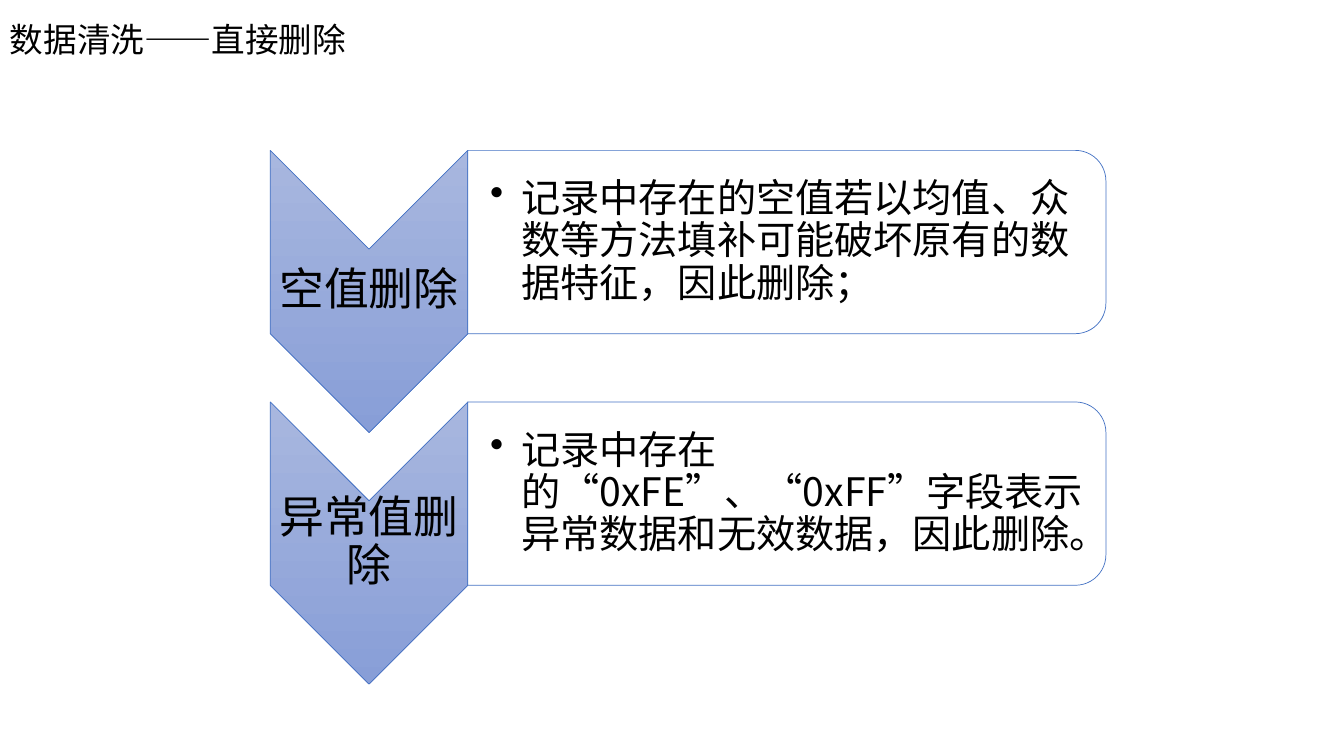
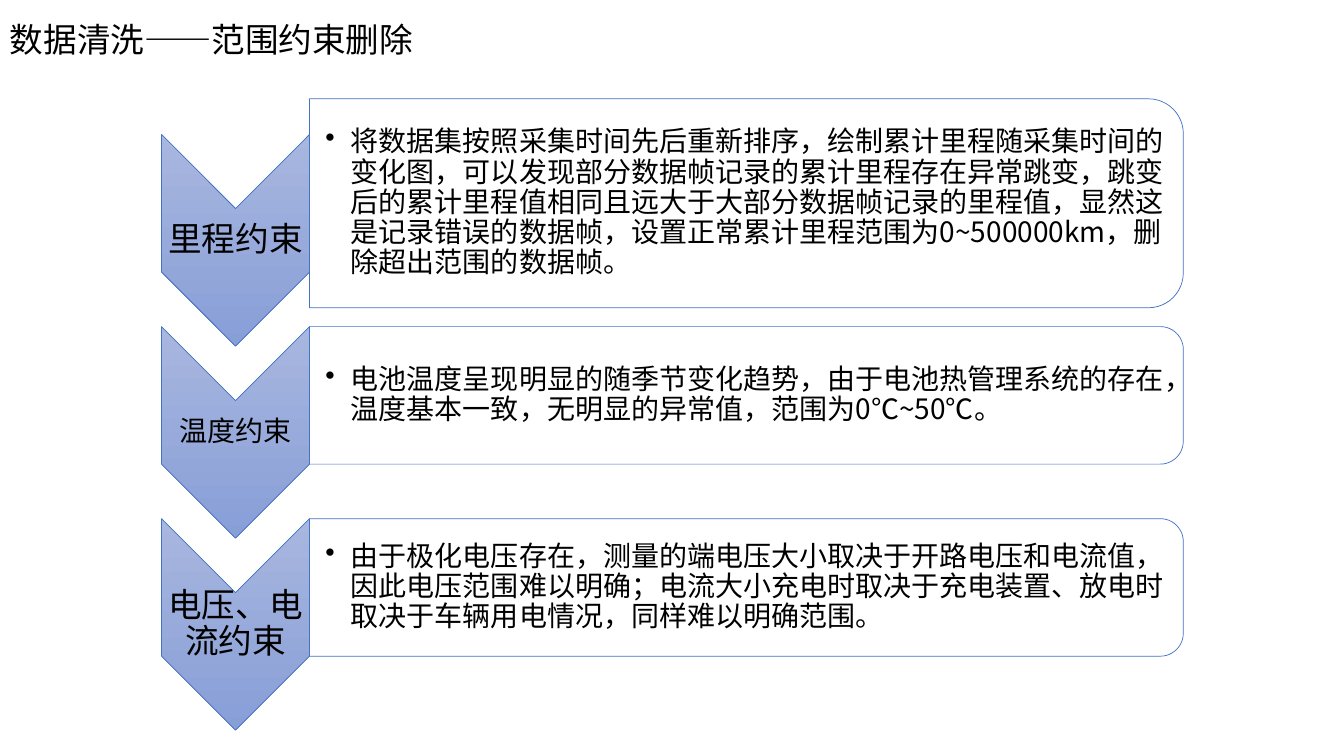
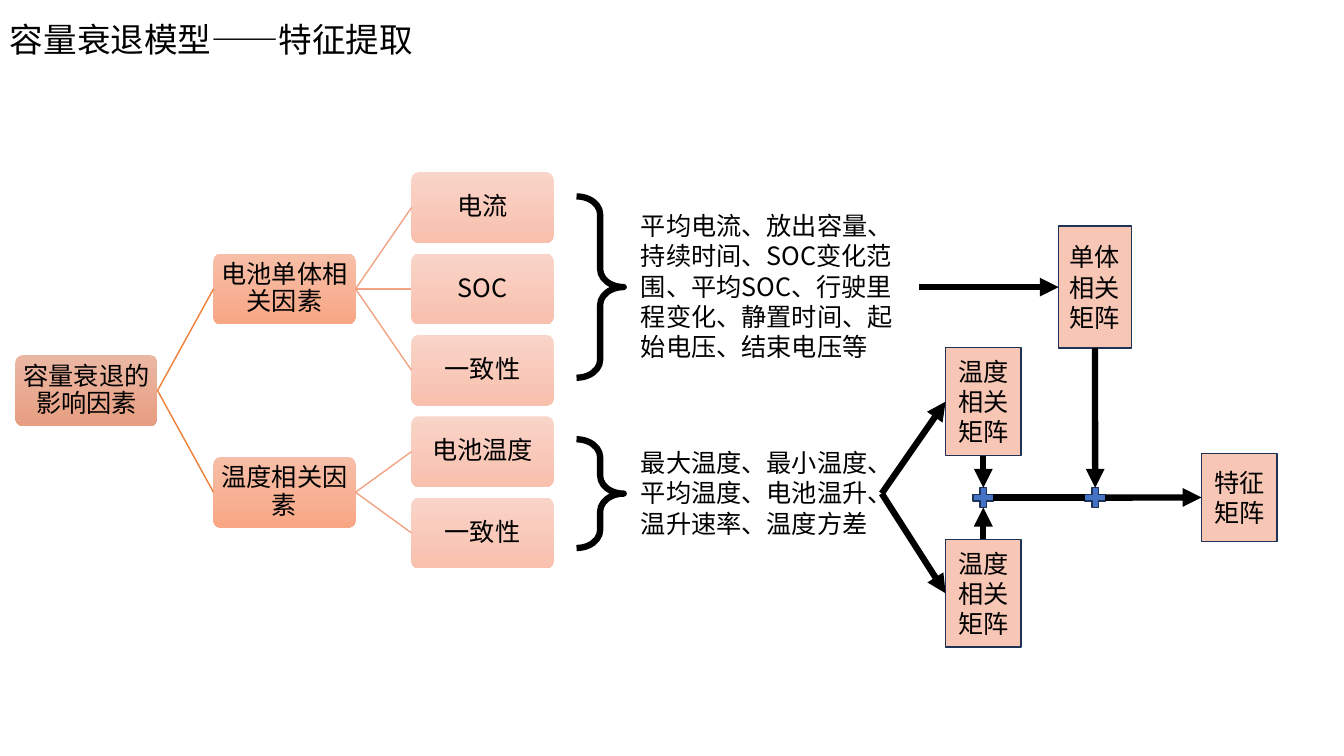
from lxml import etree
from pptx import Presentation
from pptx.dml.color import RGBColor
from pptx.enum import shapes, text
from pptx.oxml.ns import qn
from pptx.util import Cm, Pt

FONT = "Noto Sans CJK SC"
BLACK = RGBColor(0x00, 0x00, 0x00)
WHITE = RGBColor(0xFF, 0xFF, 0xFF)
BLUE = RGBColor(0x44, 0x72, 0xC4)
NAVY = RGBColor(0x1E, 0x32, 0x56)
PEACH = RGBColor(0xF8, 0xC6, 0xB5)
CHEVRON_FADE = RGBColor(0xA8, 0xB7, 0xDF), RGBColor(0x88, 0x9E, 0xD7)
LEVEL_FADES = [
    (RGBColor(0xEA, 0xB7, 0xA3), RGBColor(0xE7, 0x9E, 0x81)),
    (RGBColor(0xF7, 0xBE, 0xA7), RGBColor(0xF8, 0xA7, 0x85)),
    (RGBColor(0xF9, 0xD4, 0xC8), RGBColor(0xF8, 0xC0, 0xAD)),
]
BRANCH_COLOURS = [RGBColor(0xED, 0x7F, 0x39), RGBColor(0xF1, 0xA3, 0x83)]

SHAPE = shapes.MSO_SHAPE
CENTER, LEFT = text.PP_ALIGN.CENTER, text.PP_ALIGN.LEFT
MIDDLE, TOP = text.MSO_ANCHOR.MIDDLE, text.MSO_ANCHOR.TOP
TOP_SIDE, LEFT_SIDE, BOTTOM_SIDE, RIGHT_SIDE = range(4)

# Lengths in cm; a step is label, label size, body text, extra body height
STEP_SLIDES = [
    {
        "title": "数据清洗——直接删除",
        "left": 6.81, "top": 3.79, "pitch": 6.34,
        "chevron": (4.98, 7.11), "body_width": 16.08,
        "body_size": 28, "body_margin": 0.56, "indent": 0.79,
        "steps": [
            ("空值删除", 32, "记录中存在的空值若以均值、众数等方法填补可能破坏原有的数据特征，因此删除；", 0),
            ("异常值删除", 32, "记录中存在的“0xFE”、“0xFF”字段表示异常数据和无效数据，因此删除。", 0),
        ],
    },
    {
        "title": "数据清洗——范围约束删除",
        "left": 4.07, "top": 3.39, "pitch": 4.84,
        "chevron": (3.73, 5.33), "body_width": 22.02,
        "body_size": 20, "body_margin": 0.4, "indent": 0.64,
        "steps": [
            ("里程约束", 24, "将数据集按照采集时间先后重新排序，绘制累计里程随采集时间的变化图，"
             "可以发现部分数据帧记录的累计里程存在异常跳变，跳变后的累计里程值相同且远大于"
             "大部分数据帧记录的里程值，显然这是记录错误的数据帧，设置正常累计里程范围为"
             "0~500000km，删除超出范围的数据帧。", 1.8),
            ("温度约束", 20, "电池温度呈现明显的随季节变化趋势，由于电池热管理系统的存在，"
             "温度基本一致，无明显的异常值，范围为0℃~50℃。", 0),
            ("电压、电流约束", 24, "由于极化电压存在，测量的端电压大小取决于开路电压和电流值，"
             "因此电压范围难以明确；电流大小充电时取决于充电装置、放电时取决于车辆用电情况，"
             "同样难以明确范围。", 0),
        ],
    },
]
FEATURE_TITLE = "容量衰退模型——特征提取"
FACTOR_ROOT = "容量衰退的影响因素"
FACTORS = [
    ("电池单体相关因素", ["电流", "SOC", "一致性"]),
    ("温度相关因素", ["电池温度", "一致性"]),
]
BRACES = [(14.53, 4.95, 1.19, 4.57), (14.53, 11.07, 1.19, 2.74)]
FEATURES = [
    ("平均电流、放出容量、持续时间、SOC变化范围、平均SOC、行驶里程变化、静置时间、起始电压、结束电压等",
     (15.9, 5.18, 7.26, 4.11)),
    ("最大温度、最小温度、平均温度、电池温升、温升速率、温度方差", (15.9, 11.15, 6.32, 2.57)),
]
MATRICES = [
    ("单体相关矩阵", (26.68, 5.7, 1.83, 3.07)),
    ("温度相关矩阵", (23.83, 8.76, 1.9, 2.72)),
    ("温度相关矩阵", (23.83, 13.59, 1.9, 2.72)),
    ("特征矩阵", (30.28, 11.43, 1.9, 2.21)),
]
NODE_WIDTH, NODE_HEIGHT = 3.58, 1.78
TREE_LEFT, TREE_TOP, COLUMN_PITCH, LEAF_PITCH = 0.39, 4.34, 4.99, 2.05
PLUS_Y, PLUS_XS, PLUS_SIZE, PLUS_ARM = 12.54, (24.78, 27.6), (0.71, 0.69), 0.25


def cm(values):
    return [Cm(value) for value in values]


def write(shape, content, size, align=LEFT, anchor=TOP, margins=None, spacing=None, indent=None):
    """Fill a shape with one paragraph; margins are left and the other three, in cm."""
    frame = shape.text_frame
    frame.word_wrap = True
    frame.vertical_anchor = anchor
    if margins:
        frame.margin_left = Cm(margins[0])
        frame.margin_top = frame.margin_right = frame.margin_bottom = Cm(margins[1])
    para = frame.paragraphs[0]
    para.text = content
    para.alignment = align
    if indent:
        props = para._p.get_or_add_pPr()
        props.set("marL", str(Cm(indent)))
        props.set("indent", str(-Cm(indent)))
        etree.SubElement(props, qn("a:buChar"), char="•")
    if spacing:
        para.line_spacing = spacing
    font = para.font
    font.name, font.size = FONT, Pt(size)
    font.color.rgb = BLACK
    etree.SubElement(font._element, qn("a:ea"), typeface=FONT)


def add_text(page, bounds, content, size, **style):
    box = page.shapes.add_textbox(*cm(bounds))
    write(box, content, size, **style)
    return box


def add_shape(page, kind, bounds, fill=None, line=None, width=1.0, angle=270):
    """Draw a preset shape; a pair of colours as fill makes a gradient."""
    shape = page.shapes.add_shape(kind, *cm(bounds))
    shape.shadow.inherit = False
    if isinstance(fill, RGBColor):
        shape.fill.solid()
        shape.fill.fore_color.rgb = fill
    elif fill:
        shape.fill.gradient()
        shape.fill.gradient_angle = angle
        for stop, colour in zip(shape.fill.gradient_stops, fill):
            stop.color.rgb = colour
    else:
        shape.fill.background()
    if line is None:
        shape.line.fill.background()
    else:
        shape.line.color.rgb = line
        shape.line.width = Pt(width)
    return shape


def add_turned(page, kind, bounds, fill):
    """Draw a shape turned by 90 degrees so that it covers the bounds."""
    left, top, width, height = bounds
    shift = (width - height) / 2
    turned = (left + shift, top - shift, height, width)
    add_shape(page, kind, turned, fill, BLUE, 0.5, angle=0).rotation = 90


def add_link(page, start, end, colour=BLACK, width=4.5, arrow=True):
    """Join two ends, each a (shape, side) pair or an (x, y) point in cm."""
    joined = [not isinstance(point[0], (int, float)) for point in (start, end)]
    points = [(0, 0) if join else cm(point) for join, point in zip(joined, (start, end))]
    link = page.shapes.add_connector(shapes.MSO_CONNECTOR.STRAIGHT, *points[0], *points[1])
    if joined[0]:
        link.begin_connect(*start)
    if joined[1]:
        link.end_connect(*end)
    link.line.color.rgb = colour
    link.line.width = Pt(width)
    if arrow:
        etree.SubElement(link.line._get_or_add_ln(), qn("a:tailEnd"), type="triangle")
    etree.SubElement(link._element.spPr, qn("a:effectLst"))


def add_page(deck, title):
    page = deck.slides.add_slide(deck.slide_layouts[6])
    box = add_text(page, (0, 0.36, 0.57 + 0.85 * len(title), 1.27), title, 24)
    box.text_frame.word_wrap = False
    box.text_frame.auto_size = text.MSO_AUTO_SIZE.SHAPE_TO_FIT_TEXT
    return page


def add_steps(deck, data):
    page = add_page(deck, data["title"])
    left, (width, height) = data["left"], data["chevron"]
    notch = width / 2
    for row, (label, label_size, content, extra) in enumerate(data["steps"]):
        top = data["top"] + row * data["pitch"]
        add_turned(page, SHAPE.CHEVRON, (left, top, width, height), CHEVRON_FADE)
        add_text(page, (left, top + notch, width, height - width), label, label_size,
                 align=CENTER, anchor=MIDDLE, margins=(0.05, 0.05), spacing=0.9)
        body_left, body_top = left + width, top - extra / 2
        body_width, body_height = data["body_width"], height - notch + extra
        add_turned(page, SHAPE.ROUND_2_SAME_RECTANGLE,
                   (body_left, body_top, body_width, body_height), WHITE)
        inset = 0.05 * body_height
        add_text(page, (body_left, body_top + inset, body_width - inset, body_height - 2 * inset),
                 content, data["body_size"], anchor=MIDDLE, margins=(data["body_margin"], 0.03),
                 spacing=0.9, indent=data["indent"])


def add_node(page, level, top, label, children=()):
    bounds = (TREE_LEFT + level * COLUMN_PITCH, top, NODE_WIDTH, NODE_HEIGHT)
    node = add_shape(page, SHAPE.ROUNDED_RECTANGLE, bounds, LEVEL_FADES[level])
    node.adjustments[0] = 0.1
    write(node, label, 18, CENTER, MIDDLE, (0.03, 0.03), 0.9)
    for child in children:
        add_link(page, (node, RIGHT_SIDE), (child, LEFT_SIDE), BRANCH_COLOURS[level], 1, False)
    return node


def add_tree(page):
    """Stack the leaves evenly and centre each parent on its children."""
    branches, branch_tops, row = [], [], 0
    for label, names in FACTORS:
        tops = [TREE_TOP + (row + i) * LEAF_PITCH for i in range(len(names))]
        row += len(names)
        leaves = [add_node(page, 2, top, name) for top, name in zip(tops, names)]
        branch_tops.append((tops[0] + tops[-1]) / 2)
        branches.append(add_node(page, 1, branch_tops[-1], label, leaves))
    add_node(page, 0, (branch_tops[0] + branch_tops[-1]) / 2, FACTOR_ROOT, branches)


def add_features(deck):
    page = add_page(deck, FEATURE_TITLE)
    add_tree(page)
    for bounds in BRACES:
        brace = add_shape(page, SHAPE.RIGHT_BRACE, bounds, line=BLACK, width=4.5)
        brace.adjustments[0] = 0.38
    cell_text, heat_text = [add_text(page, bounds, content, 18) for content, bounds in FEATURES]
    matrices = []
    for label, bounds in MATRICES:
        matrix = add_shape(page, SHAPE.RECTANGLE, bounds, PEACH, NAVY)
        write(matrix, label, 18, CENTER, MIDDLE)
        matrices.append(matrix)
    cell, heat_upper, heat_lower, result = matrices
    plus_width, plus_height = PLUS_SIZE
    for x in PLUS_XS:
        add_shape(page, SHAPE.MATH_PLUS,
                  (x - plus_width / 2, PLUS_Y - plus_height / 2, plus_width, plus_height),
                  BLUE, NAVY)
    first_x, second_x = PLUS_XS
    above, below = PLUS_Y - PLUS_ARM, PLUS_Y + PLUS_ARM
    for start, end in [
        ((heat_text, RIGHT_SIDE), (heat_upper, LEFT_SIDE)),
        ((heat_text, RIGHT_SIDE), (heat_lower, LEFT_SIDE)),
        ((cell_text, RIGHT_SIDE), (cell, LEFT_SIDE)),
        ((cell, BOTTOM_SIDE), (second_x, above)),
        ((heat_upper, BOTTOM_SIDE), (first_x, above)),
        ((heat_lower, TOP_SIDE), (first_x, below)),
        ((second_x + PLUS_ARM, PLUS_Y), (result, LEFT_SIDE)),
    ]:
        add_link(page, start, end)
    add_link(page, (first_x + PLUS_ARM, PLUS_Y), (second_x - PLUS_ARM, PLUS_Y), arrow=False)


def main():
    deck = Presentation()
    deck.slide_width, deck.slide_height = Cm(33.87), Cm(19.05)
    for data in STEP_SLIDES:
        add_steps(deck, data)
    add_features(deck)
    deck.save("out.pptx")


if __name__ == "__main__":
    main()
